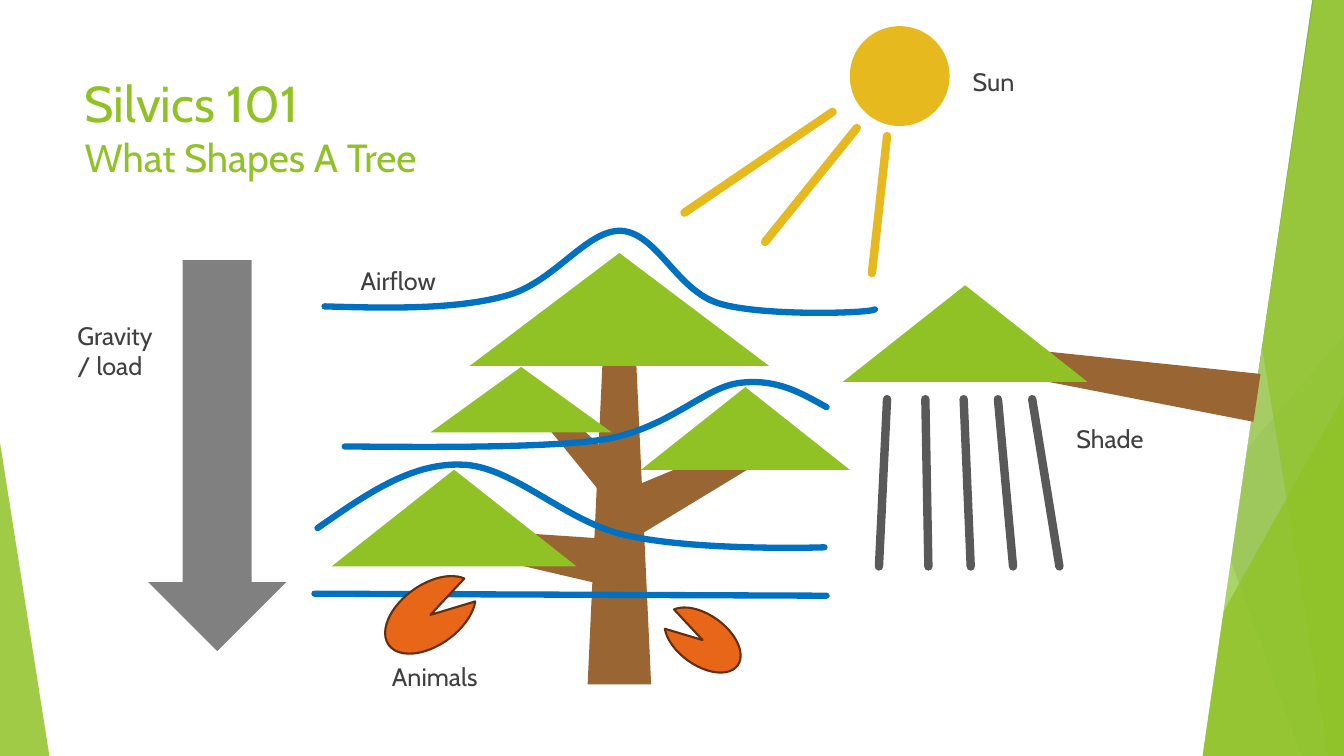
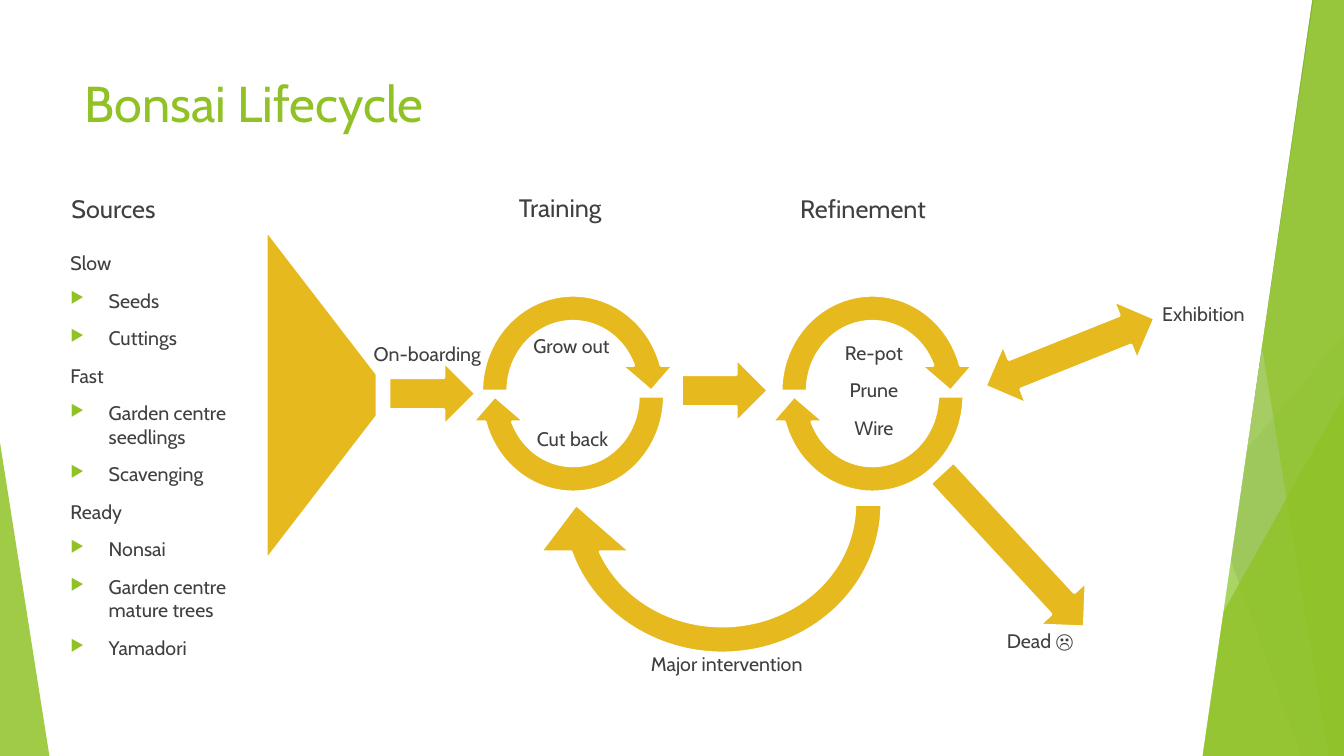
from lxml import etree
from pptx import Presentation
from pptx import util as u
from pptx.dml.color import RGBColor
from pptx.enum import shapes, text
from pptx.oxml.ns import qn

COLS, ROWS = 133.33, 75  # square grid cells covering the slide
CELL = u.Inches(0.1)
FONT = "Cabin"
GREEN, GOLD, BROWN, ORANGE = "90C226", "E6B91E", "996633", "E76618"
WHITE, INK, BLUE, GREY, DARK = "FFFFFF", "404040", "0070C0", "808080", "595959"
EDGE = (WHITE, 2)
G = shapes.MSO_SHAPE
CENTER = text.PP_ALIGN.CENTER


def cells(*values):
    return [round(v * CELL) for v in values]


def rgb(code):
    return RGBColor.from_string(code)


def paint(sp, fill=None, line=None, alpha=None):
    """Fill and outline a shape; line is (colour, points), alpha a percentage."""
    sp.shadow.inherit = False
    if fill:
        sp.fill.solid()
        sp.fill.fore_color.rgb = rgb(fill)
    else:
        sp.fill.background()
    if alpha:
        clr = sp.element.spPr.find(".//" + qn("a:srgbClr"))
        etree.SubElement(clr, qn("a:alpha"), val=str(alpha * 1000))
    if line:
        stroke(sp, line)
    else:
        sp.line.fill.background()
    return sp


def stroke(sp, line):
    sp.line.color.rgb = rgb(line[0])
    sp.line.width = u.Pt(line[1])
    sp.element.spPr.find(qn("a:ln")).set("cap", "rnd")


def preset(parent, kind, box, fill, line=None, rot=0, adj=(), alpha=None):
    sp = parent.add_shape(kind, *cells(*box))
    sp.rotation = rot
    for i, value in enumerate(adj):
        sp.adjustments[i] = value
    return paint(sp, fill, line, alpha)


def straight(parent, start, end, line):
    cn = parent.add_connector(shapes.MSO_CONNECTOR.STRAIGHT, *cells(*start, *end))
    stroke(cn, line)
    etree.SubElement(cn.element.spPr, qn("a:effectLst"))


def freeform(parent, points, close):
    fb = parent.build_freeform(*cells(*points[0]), scale=1.0)
    fb.add_line_segments([cells(*pt) for pt in points[1:]], close=close)
    return fb.convert_to_shape()


def curve(parent, points, line):
    """Draw a start point followed by triples of Bezier control points."""
    sp = paint(freeform(parent, points, close=False), line=line)
    outline = sp.element.find(".//" + qn("a:path"))
    steps = outline.findall(qn("a:lnTo"))
    for i in range(0, len(steps), 3):
        bezier = etree.SubElement(outline, qn("a:cubicBezTo"))
        for step in steps[i:i + 3]:
            bezier.append(step[0])
            outline.remove(step)


def style_run(r, size, color):
    r.font.name, r.font.size = FONT, u.Pt(size)
    r.font.color.rgb = rgb(color)


def label(parent, words, box, size=18, align=None):
    tf = parent.add_textbox(*cells(*box)).text_frame
    tf.word_wrap = True
    tf.text = words
    for i, p in enumerate(tf.paragraphs):
        p.alignment = align
        p.space_before = u.Pt(10 if i else 0)
        for r in p.runs:
            style_run(r, size, INK)
    return tf


def note(parent, words, left, top, height=7.8):
    label(parent, words, (left, top, 17.6, height), 14, CENTER)


def bullet(p):
    pPr = p._p.get_or_add_pPr()
    indent = u.Inches(0.38)
    pPr.set("marL", str(indent))
    pPr.set("indent", str(-indent))
    clr = etree.SubElement(pPr, qn("a:buClr"))
    etree.SubElement(clr, qn("a:srgbClr"), val=GREEN)
    etree.SubElement(pPr, qn("a:buSzPct"), val="80000")
    etree.SubElement(pPr, qn("a:buChar"), char="▶")


def titled_slide(prs, layout, words, box, sizes=(36,)):
    s = prs.slides.add_slide(layout)
    title = s.shapes.title
    title.left, title.top, title.width, title.height = cells(*box)
    tf = title.text_frame
    tf.text = words
    tf.auto_size = text.MSO_AUTO_SIZE.NONE
    tf.vertical_anchor = text.MSO_ANCHOR.TOP
    p = tf.paragraphs[0]
    p.alignment = text.PP_ALIGN.LEFT
    for r, size in zip(p.runs, sizes):
        style_run(r, size, GREEN)
    for br in p._p.findall(qn("a:br")):
        etree.SubElement(br, qn("a:rPr"), sz=str(sizes[0] * 100))
    return s


def backdrop(s, layout):
    """Draw the shared side bands and move them to the layout."""
    grp = s.shapes.add_group_shape()
    band = grp.shapes

    def panel(top, bottom, fill, alpha):
        corners = [(top, 0), (COLS, 0), (COLS, ROWS), (bottom, ROWS)]
        paint(freeform(band, corners, close=True), fill, alpha=alpha)

    def wedge(left, top, width, fill, alpha, apex=1):
        preset(band, G.ISOSCELES_TRIANGLE, (left, top, width, ROWS - top),
               fill, adj=[apex], alpha=alpha)

    straight(band, (102.5, 0), (115.8, ROWS), ("BFBFBF", 0.75))
    straight(band, (COLS, 40.3), (81.2, ROWS), ("D9D9D9", 0.75))
    panel(122.8, 100.4, GREEN, 30)
    panel(105, 118.3, GREEN, 20)
    wedge(97.7, 33.3, 35.6, "54A021", 72)
    panel(102.1, 129.1, "3F7819", 70)
    panel(130.3, 119.2, "C0E474", 70)
    panel(119.6, 131.8, GREEN, 65)
    wedge(113.4, 39.3, 19.9, GREEN, 80)
    wedge(0, 43.9, 4.9, GREEN, 85, apex=0)
    preset(band, G.PARALLELOGRAM, (74.7, -0.2, 55.4, 75.2), WHITE,
           (WHITE, 1.5), adj=[0.197])
    for i, props in enumerate(grp.element.iter(qn("p:cNvPr")), 100):
        props.set("id", str(i))
    layout.shapes.element.insert(2, grp.element)


def wood(parent, box, rot=0):
    preset(parent, G.TRAPEZOID, box, BROWN, rot=rot)


def foliage(parent, *box):
    preset(parent, G.ISOSCELES_TRIANGLE, box, GREEN)


def draw_tree(sh):
    wood(sh, (51.8, 47.5, 4.8, 14.7), 278.5)
    wood(sh, (65.4, 40, 5, 16.4), 63.1)
    wood(sh, (55, 37, 3.4, 12.6), 317)
    wood(sh, (58.3, 33.8, 6.3, 34.1))
    foliage(sh, 42.7, 36.4, 18, 6.5)
    foliage(sh, 63.6, 38.4, 20.7, 8.2)
    foliage(sh, 32.9, 46.6, 24.3, 9.6)
    foliage(sh, 46.6, 25.1, 29.7, 11.2)


def draw_sun_and_shade(sh):
    preset(sh, G.OVAL, (84.3, 2.6, 9.9, 9.9), GOLD)
    for start, end in [((82.6, 11.1), (67.9, 21.1)),
                       ((85, 12.7), (75.9, 24)),
                       ((88, 13.5), (86.5, 27.1))]:
        straight(sh, start, end, (GOLD, 6))
    wood(sh, (108.8, 23.8, 4.8, 27.3), 278.5)
    foliage(sh, 83.6, 28.3, 24.3, 9.6)
    for top, bottom in [(88, 87.2), (91.8, 92.1), (95.6, 96.3),
                        (99, 100.5), (102.4, 105.1)]:
        straight(sh, (top, 39.6), (bottom, 56.2), (DARK, 6))


def draw_airflow(sh):
    wind = (BLUE, 4.5)
    curve(sh, [(31.5, 52.4), (36.1, 49.2), (40.7, 45.9), (45.8, 46.1),
               (50.9, 46.2), (56.1, 51.8), (62.1, 53.1),
               (68.1, 54.5), (78.9, 54.4), (81.8, 54.3)], wind)
    curve(sh, [(32.2, 30.4), (38.7, 30.6), (45.1, 30.7), (50, 29.4),
               (54.9, 28.2), (58.1, 22.8), (61.6, 22.9),
               (65.2, 23.1), (67.1, 28.8), (71.3, 30.1),
               (75.5, 31.4), (86.2, 31.1), (86.8, 30.7)], wind)
    curve(sh, [(82, 40.4), (79.5, 39), (77, 37.5), (73.3, 38),
               (69.7, 38.5), (66.4, 42.5), (59.9, 43.6),
               (53.4, 44.6), (37.7, 44.3), (34.2, 44.3)], wind)
    straight(sh, (31.2, 58.9), (82, 59.1), wind)


def draw_animals(sh):
    for box, rot, adj in [((37.6, 58, 10.2, 6), 324.2, (11.49, 209.27)),
                          ((65.4, 61, 8.6, 5), 35.8, (114.73, 96.51))]:
        preset(sh, G.PIE, box, ORANGE, ("652D0B", 1.5), rot, adj)


def fill_silvics(s):
    sh = s.shapes
    draw_tree(sh)
    draw_sun_and_shade(sh)
    preset(sh, G.DOWN_ARROW, (14.7, 25.8, 13.7, 38.8), GREY)
    draw_airflow(sh)
    draw_animals(sh)
    for words, left, top, width in [("Sun", 95.5, 6.1, 9.9),
                                    ("Shade", 105.8, 41.5, 9.9),
                                    ("Gravity / load", 6.7, 31.3, 10.9),
                                    ("Airflow", 34.8, 25.8, 11.8),
                                    ("Animals", 37.9, 65.1, 17.3)]:
        label(sh, words, (left, top, width, 6.4))


def arrow(parent, kind, box, rot=0, adj=()):
    preset(parent, kind, box, GOLD, EDGE, rot, adj)


def cycle(s, left):
    ring = s.shapes.add_group_shape().shapes
    for top, rot in [(28, 0), (28.5, 180)]:
        arrow(ring, G.CIRCULAR_ARROW, (left, top, 20.7, 21.6), rot)


def draw_sources(sh):
    groups = {"Slow": ["Seeds", "Cuttings"],
              "Fast": ["Garden centre seedlings", "Scavenging"],
              "Ready": ["Nonsai", "Garden centre mature trees", "Yamadori"]}
    rows = [row for head, items in groups.items() for row in (head, *items)]
    tf = label(sh, "\n".join(rows), (6, 24.4, 20.2, 48), 14)
    for p in tf.paragraphs:
        if p.text not in groups:
            bullet(p)


def fill_lifecycle(s):
    sh = s.shapes
    arrow(sh, G.TRAPEZOID, (15.5, 33.7, 32.8, 11), 90, [1.3])
    draw_sources(sh)
    cycle(s, 46.5)
    cycle(s, 76.2)
    arrow(sh, G.RIGHT_ARROW, (38.6, 35.9, 8.6, 6.3))
    arrow(sh, G.RIGHT_ARROW, (67.6, 35.6, 8.6, 6.3))
    arrow(sh, G.CIRCULAR_ARROW, (52.7, 32.2, 37.9, 35.7), 180,
          (0.075, 11.42, 204.58, 108, 0.125))
    arrow(sh, G.LEFT_RIGHT_ARROW, (97.1, 31.8, 18.1, 6.3), 338.2)
    arrow(sh, G.RIGHT_ARROW, (90.1, 51.4, 20.8, 6.3), 47.2)
    for words, left, top, width in [("Sources", 6.1, 18.7, 11.8),
                                    ("Training", 50.5, 18.6, 11.8),
                                    ("Refinement", 78.4, 18.7, 17.2)]:
        label(sh, words, (left, top, width, 6.4))
    note(sh, "On-boarding", 33.6, 33.4)
    note(sh, "Major intervention", 63.3, 64.2)
    note(sh, "Grow out", 47.9, 32.6)
    note(sh, "Cut back", 48, 41.9)
    note(sh, "Exhibition", 110.6, 29.5)
    note(sh, "Dead ☹", 94.4, 61.9)
    note(sh, "Re-pot\nPrune\nWire", 77.9, 33.3, 13.6)


def main():
    prs = Presentation()
    prs.slide_width, prs.slide_height = cells(COLS, ROWS)
    layout = prs.slide_layouts[5]
    silvics = titled_slide(prs, layout, "Silvics 101\vWhat Shapes A Tree",
                           (7.4, 6.7, 94, 14.4), (36, 28))
    backdrop(silvics, layout)
    fill_silvics(silvics)
    lifecycle = titled_slide(prs, layout, "Bonsai Lifecycle",
                             (7.4, 6.7, 110.5, 12.6))
    fill_lifecycle(lifecycle)
    prs.save("out.pptx")


if __name__ == "__main__":
    main()
